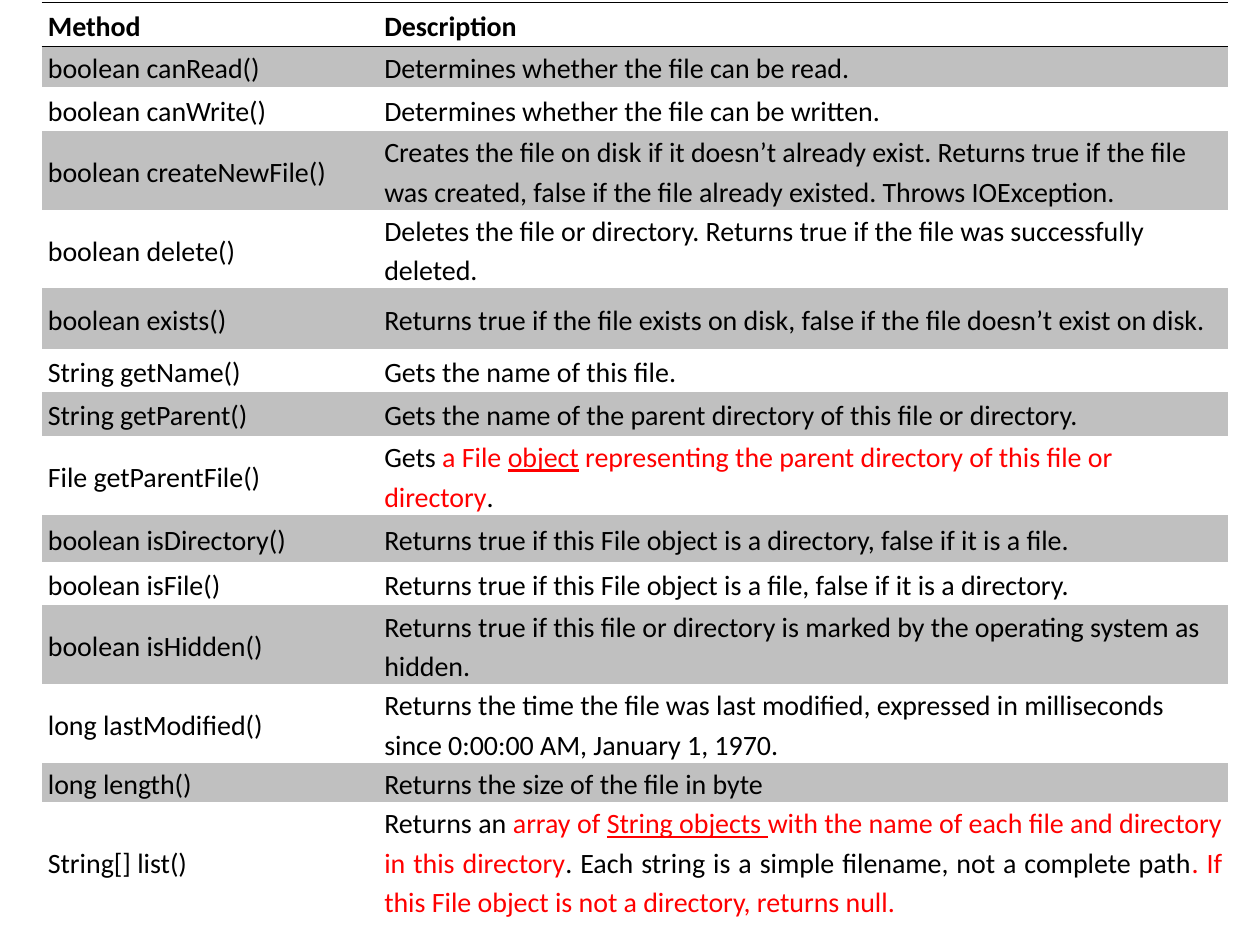
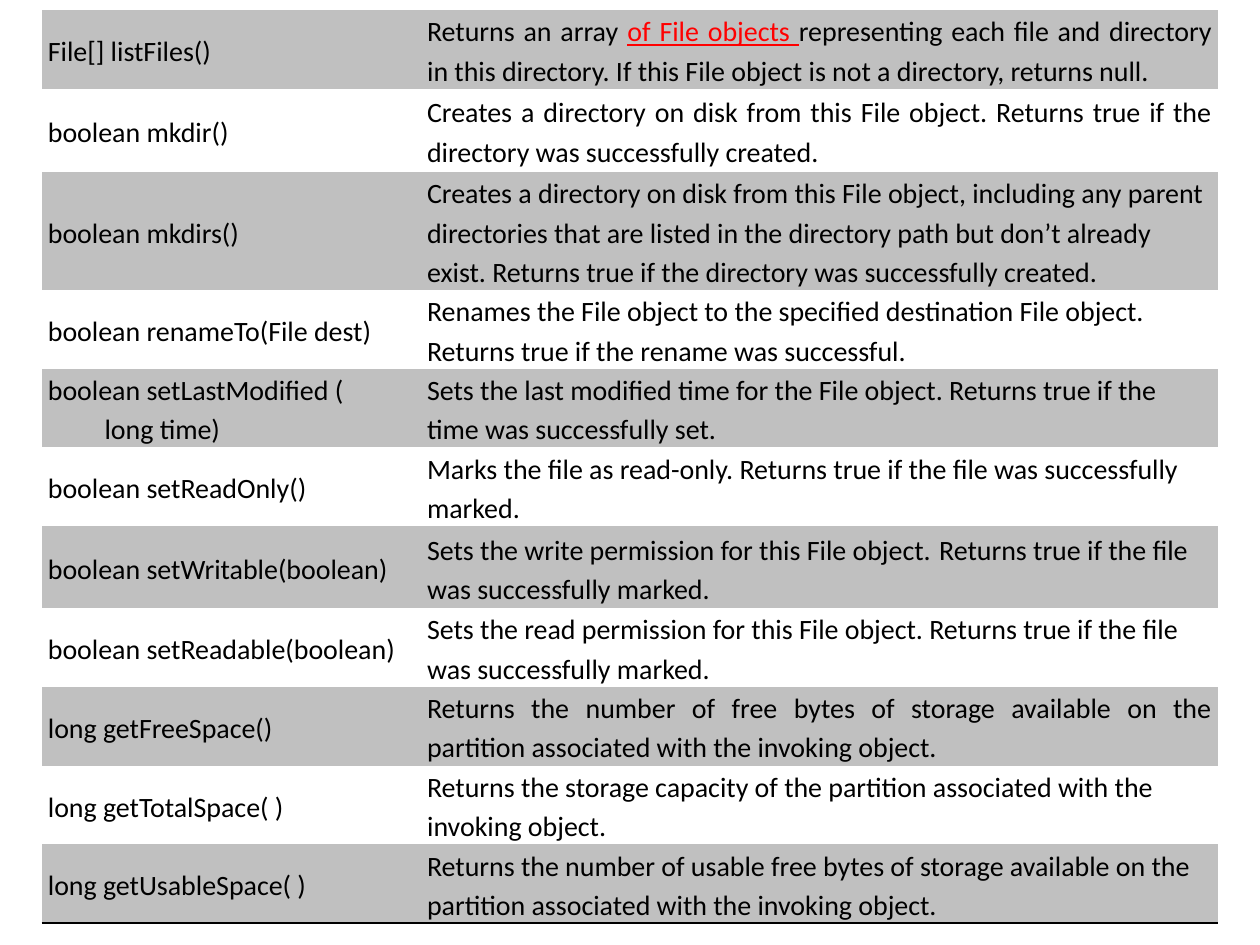
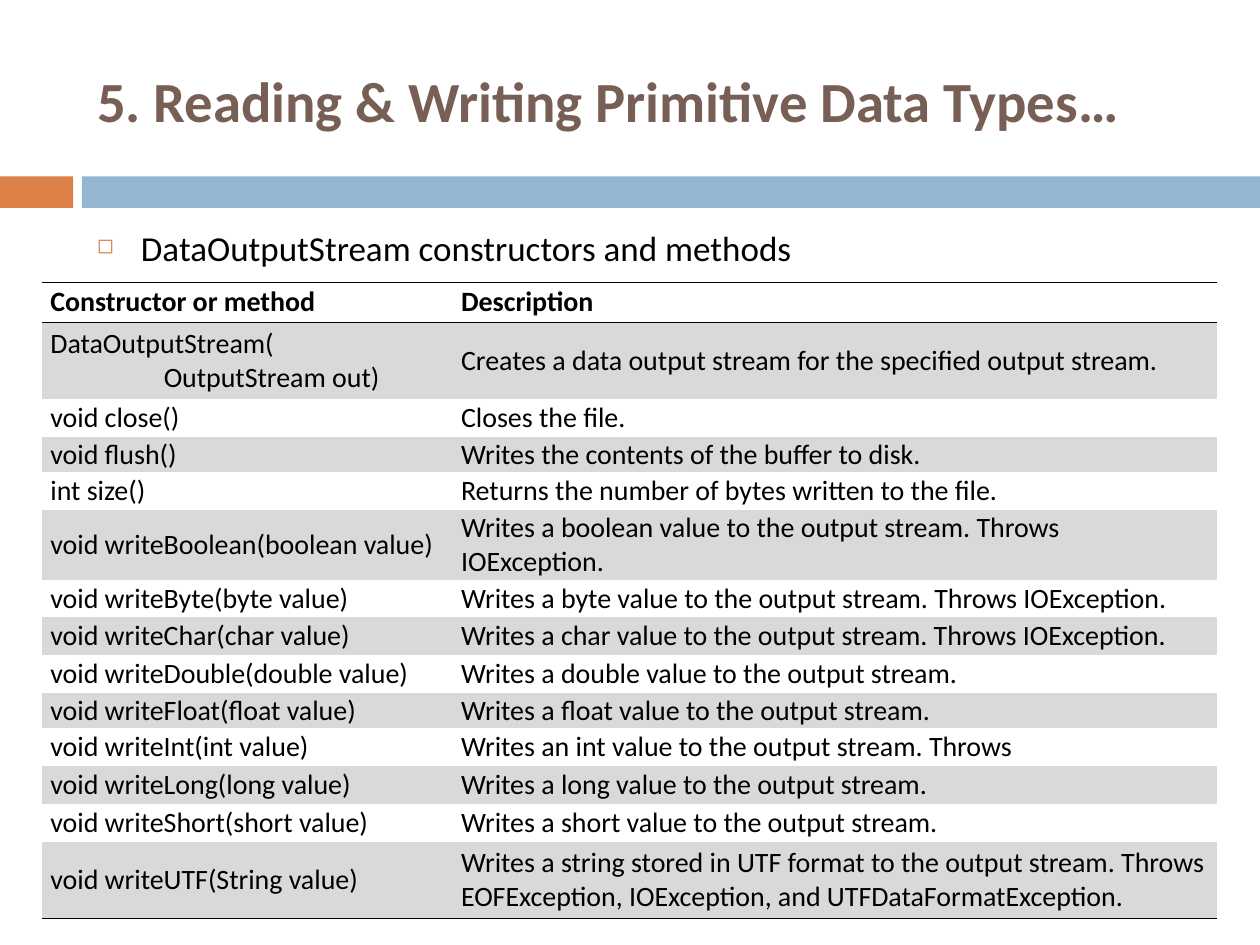
from dataclasses import dataclass

from lxml.etree import SubElement
from pptx import Presentation
from pptx.dml.color import RGBColor
from pptx.enum.shapes import MSO_SHAPE
from pptx.enum.text import MSO_ANCHOR, MSO_AUTO_SIZE, PP_ALIGN
from pptx.oxml.ns import qn
from pptx.util import Inches, Pt


@dataclass(frozen=True)
class Theme:
    font: str = "Calibri"
    gap_font: str = "Times New Roman"
    text: str = "000000"
    title: str = "775F55"
    accent: str = "DD8047"
    band: str = "94B6D2"
    highlight: str = "FF0000"
    file_stripe: str = "C0C0C0"
    stream_stripe: str = "D9D9D9"
    title_size: float = 32.4
    bullet_size: float = 20
    table_size: float = 16
    gap_size: float = 18
    rule_width: float = 1


THEME = Theme()
TITLE_ONLY, BLANK = 5, 6
PLAIN_TABLE_STYLE = "{2D5ABB26-0587-4C30-8999-92F81FD0307C}"


@dataclass(frozen=True)
class Span:
    text: str
    color: str = THEME.text
    underline: bool = False
    font: str = THEME.font
    size: float = THEME.table_size


@dataclass(frozen=True)
class Justified:
    spans: tuple


@dataclass(frozen=True)
class TableLook:
    stripe: str
    margin: float
    continuation: float  # indent of a signature's second line
    line_spacing: float = 1.0


FILE_LOOK = TableLook(THEME.file_stripe, 0.05, 0.45, 1.15)
STREAM_LOOK = TableLook(THEME.stream_stripe, 0.07, 0.9)


def red(text, underline=False):
    return Span(text, THEME.highlight, underline)


FILE_HEADER = ("Method", "Description")
# Each row: height, signature, description
FILE_METHODS = [
    (0.32, "boolean canRead()", "Determines whether the file can be read."),
    (0.35, "boolean canWrite()", "Determines whether the file can be written."),
    (0.59, "boolean createNewFile()",
     "Creates the file on disk if it doesn’t already exist. Returns true if the file "
     "was created, false if the file already existed. Throws IOException."),
    (0.59, "boolean delete()",
     "Deletes the file or directory. Returns true if the file was successfully deleted."),
    (0.48, "boolean exists()",
     "Returns true if the file exists on disk, false if the file doesn’t exist on disk."),
    (0.34, "String getName()", "Gets the name of this file."),
    (0.35, "String getParent()",
     "Gets the name of the parent directory of this file or directory."),
    (0.59, "File getParentFile()",
     (Span("Gets "), red("a File "), red("object", True),
      red(" representing the parent directory of this file or directory"), Span("."))),
    (0.38, "boolean isDirectory()",
     "Returns true if this File object is a directory, false if it is a file."),
    (0.34, "boolean isFile()",
     "Returns true if this File object is a file, false if it is a directory."),
    (0.59, "boolean isHidden()",
     "Returns true if this file or directory is marked by the operating system as hidden."),
    (0.59, "long lastModified()",
     "Returns the time the file was last modified, expressed in milliseconds since "
     "0:00:00 AM, January 1, 1970."),
    (0.29, "long length()", "Returns the size of the file in byte"),
    (0.88, "String[] list()",
     Justified((Span("Returns an "), red("array of "), red("String objects ", True),
                red("with the name of each file and directory in this directory"),
                Span(". Each string is a simple filename, not a complete path"),
                red(". If this File object is not a directory, returns null.")))),
]

MORE_FILE_METHODS = [
    (0.61, "File[] listFiles()",
     Justified((Span("Returns an array "), red("of File objects ", True),
                Span("representing each file and directory in this directory. "
                     "If this File object is not a directory, returns null.")))),
    (0.66, "boolean mkdir()",
     Justified((Span("Creates a directory on disk from this File object. "
                     "Returns true if the directory was successfully created."),))),
    (0.91, "boolean mkdirs()",
     "Creates a directory on disk from this File object, including any parent directories "
     "that are listed in the directory path but don’t already exist. Returns true if the "
     "directory was successfully created."),
    (0.61, "boolean renameTo(File dest)",
     "Renames the File object to the specified destination File object. "
     "Returns true if the rename was successful."),
    (0.61, "boolean setLastModified (\nlong time)",
     "Sets the last modified time for the File object. "
     "Returns true if the time was successfully set."),
    (0.61, "boolean setReadOnly()",
     "Marks the file as read-only. Returns true if the file was successfully marked."),
    (0.65, "boolean setWritable(boolean)",
     (Span("Sets the write permission for this File object."),
      Span(" ", font=THEME.gap_font, size=THEME.gap_size),
      Span("Returns true if the file was successfully marked."))),
    (0.61, "boolean setReadable(boolean)",
     "Sets the read permission for this File object. "
     "Returns true if the file was successfully marked."),
    (0.61, "long getFreeSpace()",
     Justified((Span("Returns the number of free bytes of storage available on the "
                     "partition associated with the invoking object."),))),
    (0.61, "long getTotalSpace( )",
     "Returns the storage capacity of the partition associated with the invoking object."),
    (0.61, "long getUsableSpace( )",
     "Returns the number of usable free bytes of storage available on the partition "
     "associated with the invoking object."),
]

STREAM_HEADER = ("Constructor or method", "Description")
STREAM_METHODS = [
    (0.61, "DataOutputStream(\nOutputStream out)",
     "Creates a data output stream for the specified output stream."),
    (0.3, "void close()", "Closes the file."),
    (0.28, "void flush()", "Writes the contents of the buffer to disk."),
    (0.3, "int size()", "Returns the number of bytes written to the file."),
    (0.55, "void writeBoolean(boolean value)",
     "Writes a boolean value to the output stream. Throws IOException."),
    (0.3, "void writeByte(byte value)",
     "Writes a byte value to the output stream. Throws IOException."),
    (0.3, "void writeChar(char value)",
     "Writes a char value to the output stream. Throws IOException."),
    (0.3, "void writeDouble(double value)", "Writes a double value to the output stream."),
    (0.28, "void writeFloat(float value)", "Writes a float value to the output stream."),
    (0.3, "void writeInt(int value)", "Writes an int value to the output stream. Throws"),
    (0.3, "void writeLong(long value)", "Writes a long value to the output stream."),
    (0.3, "void writeShort(short value)", "Writes a short value to the output stream."),
    (0.61, "void writeUTF(String value)",
     "Writes a string stored in UTF format to the output stream. Throws EOFException, "
     "IOException, and UTFDataFormatException."),
]


def style_run(run, size, color=THEME.text, bold=False, underline=False, font=THEME.font):
    run.font.name = font
    run.font.size = Pt(size)
    run.font.bold = bold
    run.font.underline = underline
    run.font.color.rgb = RGBColor.from_string(color)


def place(shape, left, top, width, height):
    shape.left, shape.top = Inches(left), Inches(top)
    shape.width, shape.height = Inches(width), Inches(height)


def indent(paragraph, left, first_line=0):
    properties = paragraph._p.get_or_add_pPr()
    properties.set("marL", str(Inches(left)))
    properties.set("indent", str(Inches(first_line)))
    return properties


def add_rule(cell, edge):
    """Draw a cell border; edge is lnT or lnB. Call before filling the cell."""
    line = SubElement(cell._tc.get_or_add_tcPr(), qn(f"a:{edge}"), w=str(Pt(THEME.rule_width)))
    fill = SubElement(line, qn("a:solidFill"))
    SubElement(fill, qn("a:srgbClr"), val=THEME.text)


def write_cell(cell, content, look, bold=False):
    """Write plain text, a tuple of spans, or justified spans."""
    cell.vertical_anchor = MSO_ANCHOR.MIDDLE
    cell.margin_left = cell.margin_right = Inches(look.margin)
    cell.margin_top = cell.margin_bottom = 0
    frame = cell.text_frame
    if isinstance(content, str):
        frame.text = content
        for paragraph in frame.paragraphs:
            for run in paragraph.runs:
                style_run(run, THEME.table_size, bold=bold)
        for paragraph in frame.paragraphs[1:]:
            indent(paragraph, look.continuation)
    else:
        description = frame.paragraphs[0]
        if isinstance(content, Justified):
            description.alignment = PP_ALIGN.JUSTIFY
            content = content.spans
        for span in content:
            run = description.add_run()
            run.text = span.text
            style_run(run, span.size, span.color, underline=span.underline, font=span.font)
    for paragraph in frame.paragraphs:
        paragraph.line_spacing = look.line_spacing


def add_method_table(slide, left, top, columns, methods, look,
                     header=None, header_height=0, closing_rule=False):
    rows = ([(header_height, *header)] if header else []) + methods
    total = sum(row[0] for row in rows)
    table = slide.shapes.add_table(len(rows), len(columns), Inches(left), Inches(top),
                                   Inches(sum(columns)), Inches(total)).table
    table.first_row = table.horz_banding = False
    table._tbl.tblPr.find(qn("a:tableStyleId")).text = PLAIN_TABLE_STYLE
    for column, width in zip(table.columns, columns):
        column.width = Inches(width)

    first_method = 1 if header else 0
    for index, (height, *contents) in enumerate(rows):
        table.rows[index].height = Inches(height)
        is_header = index < first_method
        striped = not is_header and (index - first_method) % 2 == 0
        for cell, content in zip(table.rows[index].cells, contents):
            write_cell(cell, content, look, bold=is_header)
            if is_header:
                add_rule(cell, "lnT")
            if is_header or (closing_rule and index == len(rows) - 1):
                add_rule(cell, "lnB")
            if striped:
                cell.fill.solid()
                cell.fill.fore_color.rgb = RGBColor.from_string(look.stripe)
            else:
                cell.fill.background()


def add_band(slide, left, width, color):
    band = slide.shapes.add_shape(MSO_SHAPE.RECTANGLE, Inches(left), Inches(1.4),
                                  Inches(width), Inches(0.25))
    band.shadow.inherit = False
    band.fill.solid()
    band.fill.fore_color.rgb = RGBColor.from_string(color)
    band.line.fill.background()


def set_title(slide, text):
    title = slide.shapes.title
    place(title, 0.67, 0.25, 8.92, 1.08)
    frame = title.text_frame
    frame.text = text
    frame.auto_size = MSO_AUTO_SIZE.NONE
    frame.vertical_anchor = MSO_ANCHOR.MIDDLE
    heading = frame.paragraphs[0]
    heading.alignment = PP_ALIGN.LEFT
    style_run(heading.runs[0], THEME.title_size, THEME.title, bold=True)


def add_bullet(slide, text):
    frame = slide.shapes.add_textbox(Inches(0.67), Inches(1.75),
                                     Inches(8.92), Inches(5.75)).text_frame
    frame.word_wrap = True
    frame.text = text
    bullet = frame.paragraphs[0]
    bullet.space_before = Pt(7)
    style_run(bullet.runs[0], THEME.bullet_size)
    properties = indent(bullet, 0.35, -0.35)
    color = SubElement(properties, qn("a:buClr"))
    SubElement(color, qn("a:srgbClr"), val=THEME.accent)
    SubElement(properties, qn("a:buSzPct"), val="60000")
    SubElement(properties, qn("a:buChar"), char="◻")


def main():
    deck = Presentation()
    deck.slide_width, deck.slide_height = Inches(10), Inches(7.5)
    layouts = deck.slide_layouts

    file_slide = deck.slides.add_slide(layouts[BLANK])
    add_method_table(file_slide, 0.33, 0.02, (2.67, 6.75), FILE_METHODS, FILE_LOOK,
                     header=FILE_HEADER, header_height=0.35)

    more_file_slide = deck.slides.add_slide(layouts[BLANK])
    add_method_table(more_file_slide, 0.33, 0.08, (3.01, 6.33), MORE_FILE_METHODS, FILE_LOOK,
                     closing_rule=True)

    stream_slide = deck.slides.add_slide(layouts[TITLE_ONLY])
    add_band(stream_slide, 0, 0.58, THEME.accent)
    add_band(stream_slide, 0.65, 9.35, THEME.band)
    set_title(stream_slide, "5. Reading & Writing Primitive Data Types…")
    add_bullet(stream_slide, "DataOutputStream constructors and methods")
    add_method_table(stream_slide, 0.33, 2.24, (3.26, 6.07), STREAM_METHODS, STREAM_LOOK,
                     header=STREAM_HEADER, header_height=0.32, closing_rule=True)

    deck.save("out.pptx")


if __name__ == "__main__":
    main()
